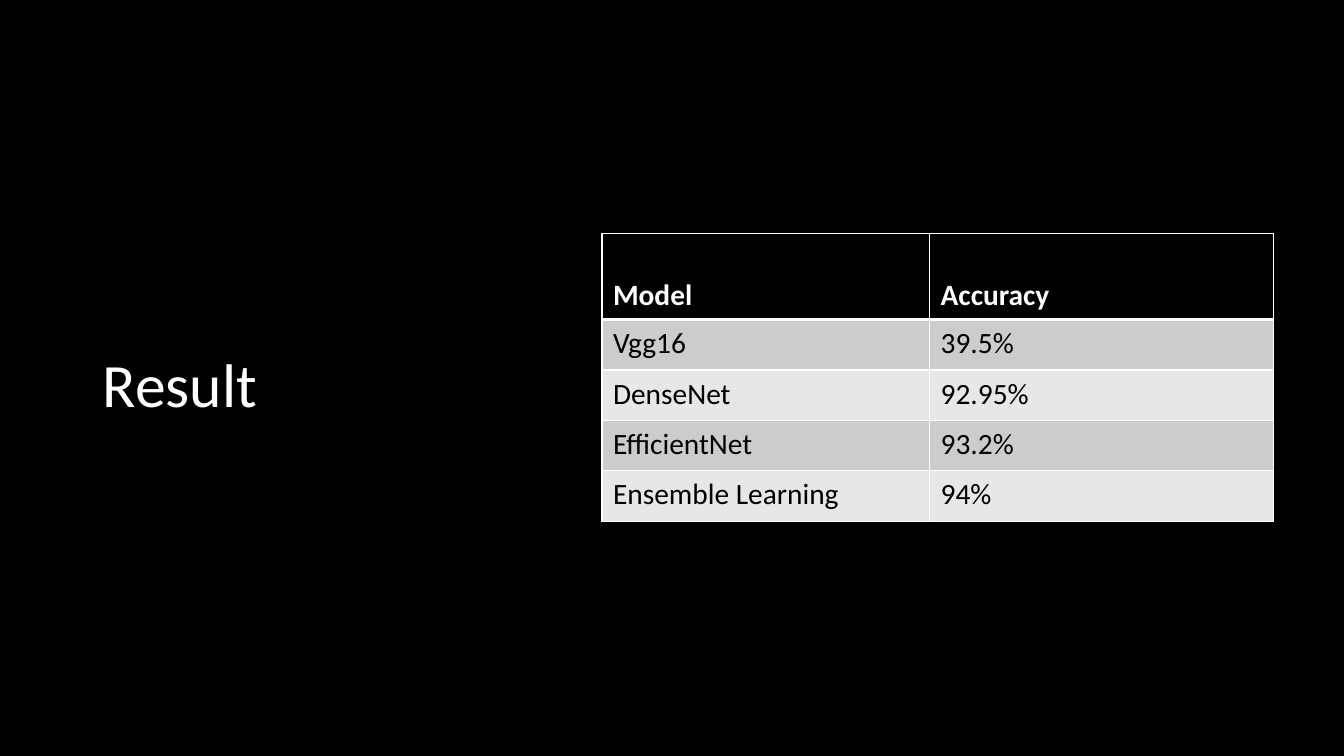
from lxml import etree
from pptx import Presentation
from pptx.dml.color import RGBColor
from pptx.enum.text import MSO_ANCHOR
from pptx.oxml.ns import qn
from pptx.util import Inches, Pt

MIDDLE = MSO_ANCHOR.MIDDLE
BOTTOM = MSO_ANCHOR.BOTTOM
TOP = MSO_ANCHOR.TOP

WHITE, BLACK = "FFFFFF", "000000"
BANDS = ["E7E7E7", "CCCCCC"]
RESULTS = [
    ("Model", "Accuracy"),
    ("Vgg16", "39.5%"),
    ("DenseNet", "92.95%"),
    ("EfficientNet", "93.2%"),
    ("Ensemble Learning", "94%"),
]


def rgb(value):
    return RGBColor.from_string(value)


def add_run(p, text, size, color, bold=False):
    r = p.add_run()
    r.text = text
    r.font.name = "Calibri"
    r.font.size = Pt(size)
    r.font.bold = bold
    r.font.color.rgb = rgb(color)


prs = Presentation()
prs.slide_width = Inches(13.33)
prs.slide_height = Inches(7.5)
s = prs.slides.add_slide(prs.slide_layouts[6])
s.background.fill.solid()
s.background.fill.fore_color.rgb = rgb(BLACK)

title = s.shapes.add_textbox(Inches(0.92), Inches(0.89), Inches(3.65), Inches(5.91))
tf = title.text_frame
tf.word_wrap = True
tf.vertical_anchor = MIDDLE
p = tf.paragraphs[0]
p.line_spacing = 0.9
add_run(p, "Result", 44, WHITE)

table = s.shapes.add_table(len(RESULTS), 2, Inches(5.97), Inches(2.32),
                           Inches(6.66), Inches(2.85)).table
for column, width in zip(table.columns, (3.25, 3.41)):
    column.width = Inches(width)

for i, values in enumerate(RESULTS):
    header = i == 0
    table.rows[i].height = Inches(0.85 if header else 0.5)
    for j, value in enumerate(values):
        cell = table.cell(i, j)
        cell.margin_left = cell.margin_right = Inches(0.11)
        cell.margin_top = cell.margin_bottom = Inches(0.06)
        cell.vertical_anchor = BOTTOM if header else TOP
        add_run(cell.text_frame.paragraphs[0], value, 21,
                WHITE if header else BLACK, header)

        tcPr = cell._tc.get_or_add_tcPr()
        for side in "LRTB":
            thick = (side == "B" and header) or (side == "T" and i == 1)
            ln = etree.SubElement(tcPr, qn(f"a:ln{side}"), w=str(Pt(3 if thick else 1)))
            fill = etree.SubElement(ln, qn("a:solidFill"))
            etree.SubElement(fill, qn("a:srgbClr"), val=WHITE)
        cell.fill.solid()
        cell.fill.fore_color.rgb = rgb(BLACK if header else BANDS[i % 2])

prs.save("out.pptx")
